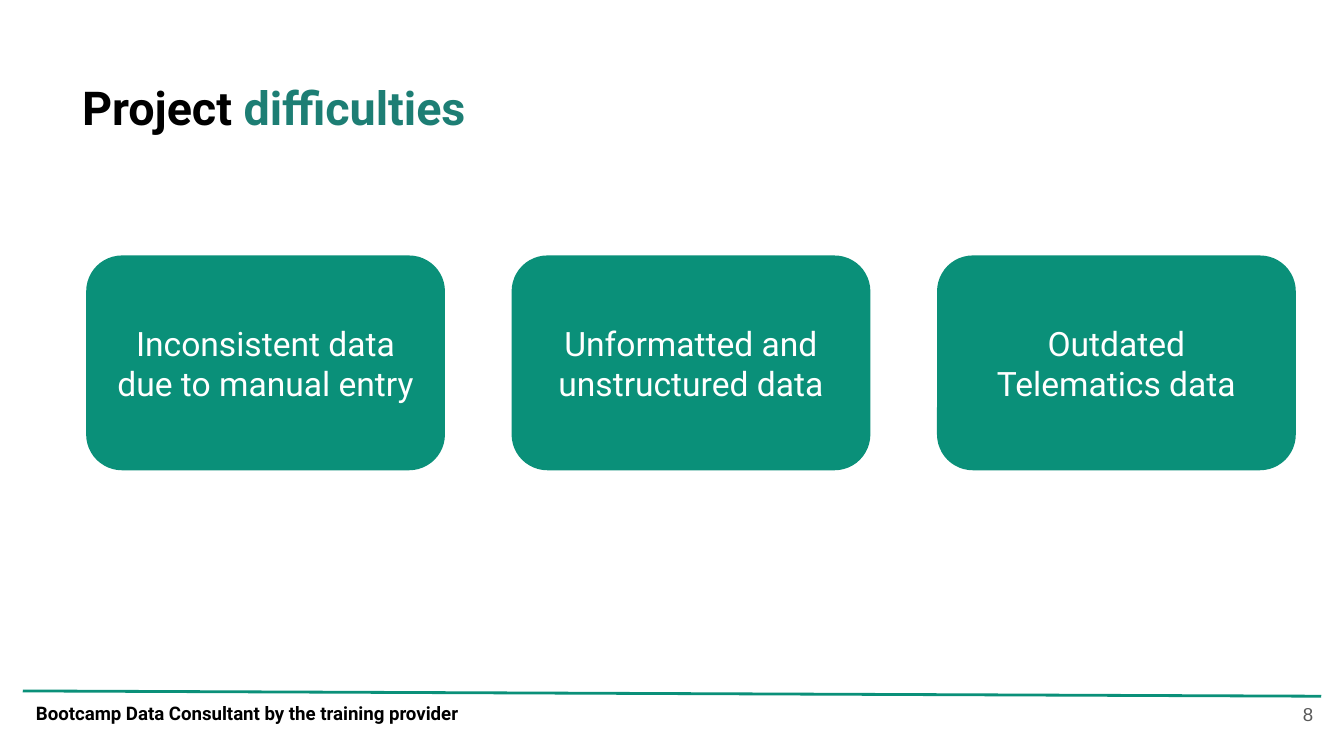
from lxml import etree
from pptx import Presentation
from pptx.dml.color import RGBColor
from pptx.enum.shapes import MSO_CONNECTOR, MSO_SHAPE
from pptx.enum.text import MSO_ANCHOR, PP_ALIGN
from pptx.oxml.ns import qn
from pptx.util import Cm, Pt

STRAIGHT = MSO_CONNECTOR.STRAIGHT
ROUNDED = MSO_SHAPE.ROUNDED_RECTANGLE
TOP, MIDDLE = MSO_ANCHOR.TOP, MSO_ANCHOR.MIDDLE
LEFT, CENTER, RIGHT = PP_ALIGN.LEFT, PP_ALIGN.CENTER, PP_ALIGN.RIGHT

GREEN = "0A9079"
ISSUES = [
    "Inconsistent data due to manual entry",
    "Unformatted and unstructured data",
    "Outdated\vTelematics data",
]


def color(code):
    return RGBColor.from_string(code)


def style(run, size, code, bold=False, face="Roboto"):
    font = run.font
    font.name, font.size, font.bold = face, Pt(size), bold
    font.color.rgb = color(code)


def set_frame(frame, anchor=TOP, align=LEFT):
    frame.word_wrap = True
    frame.vertical_anchor = anchor
    frame.margin_left = frame.margin_right = Cm(0.25)
    frame.margin_top = frame.margin_bottom = Cm(0.25)
    frame.paragraphs[0].alignment = align


def add_title(slide):
    title = slide.shapes.title
    title.left, title.top = Cm(1.3), Cm(1.24)
    title.width, title.height = Cm(17.7), Cm(1.6)
    set_frame(title.text_frame)
    for text, code in (("Project ", "000000"), ("difficulties", "1D7E74")):
        run = title.text_frame.paragraphs[0].add_run()
        run.text = text
        style(run, 25, code, bold=True)


def add_card(slide, text, left):
    card = slide.shapes.add_shape(ROUNDED, left, Cm(4.83), Cm(6.78), Cm(4.06))
    card.shadow.inherit = False
    card.fill.solid()
    card.fill.fore_color.rgb = color(GREEN)
    card.line.fill.background()
    card.text_frame.text = text
    set_frame(card.text_frame, MIDDLE, CENTER)
    for run in card.text_frame.paragraphs[0].runs:
        style(run, 18, "FFFFFF")


def add_rule(slide):
    rule = slide.shapes.add_connector(
        STRAIGHT, Cm(0.43), Cm(13.06), Cm(24.97), Cm(13.16))
    rule.line.color.rgb = color(GREEN)
    rule.line.width = Pt(1.5)
    etree.SubElement(rule._element.spPr, qn("a:effectLst"))


def add_label(slide, text, area, code, bold=False, face="Roboto",
              anchor=TOP, align=LEFT):
    box = slide.shapes.add_textbox(*map(Cm, area))
    box.text_frame.text = text
    set_frame(box.text_frame, anchor, align)
    style(box.text_frame.paragraphs[0].runs[0], 10, code, bold, face)


def main():
    deck = Presentation()
    deck.slide_width, deck.slide_height = Cm(25.4), Cm(14.29)
    slide = deck.slides.add_slide(deck.slide_layouts[5])
    add_rule(slide)
    add_label(slide, "Bootcamp Data Consultant by the training provider",
              (0.43, 13.06, 10.24, 0.94), "000000", bold=True)
    add_title(slide)
    for i, issue in enumerate(ISSUES):
        add_card(slide, issue, Cm(1.63 + 8.04 * i))
    add_label(slide, "8", (23.55, 12.95, 1.52, 1.09), "595959",
              face="Arial", anchor=MIDDLE, align=RIGHT)
    deck.save("out.pptx")


if __name__ == "__main__":
    main()
